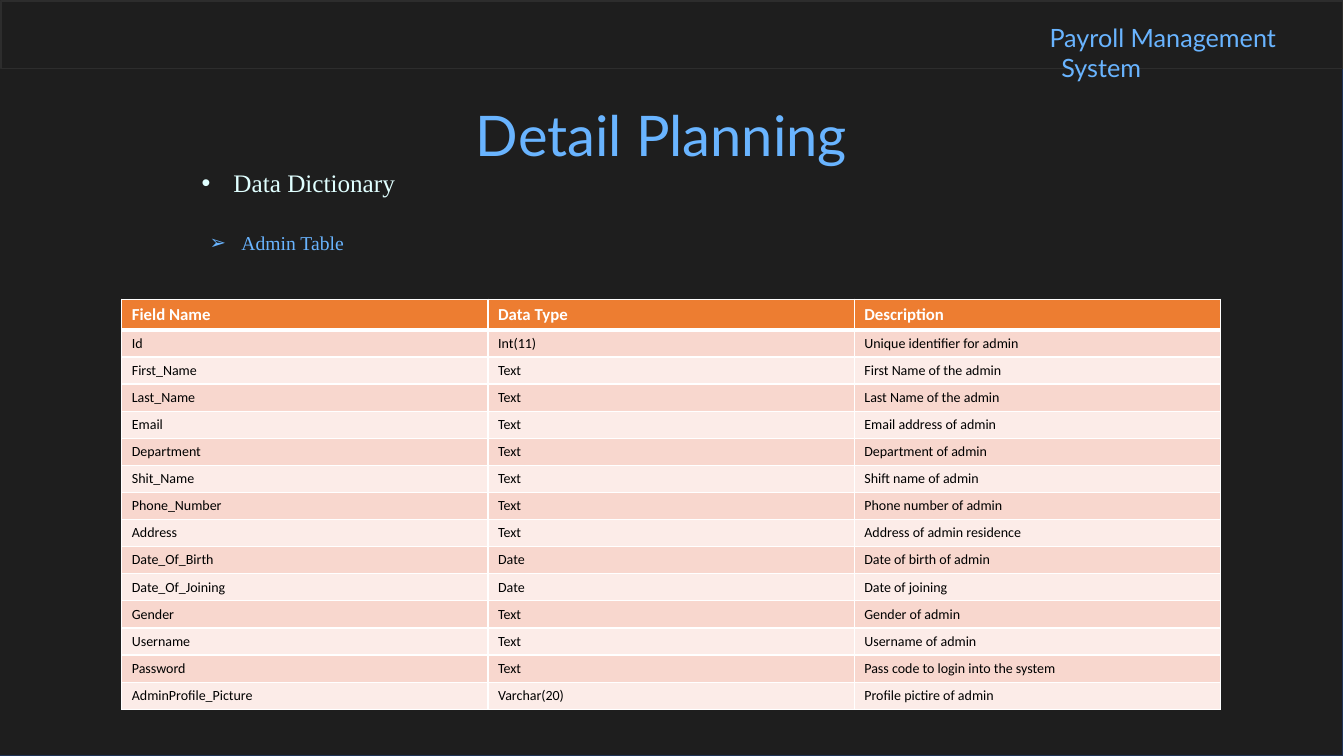
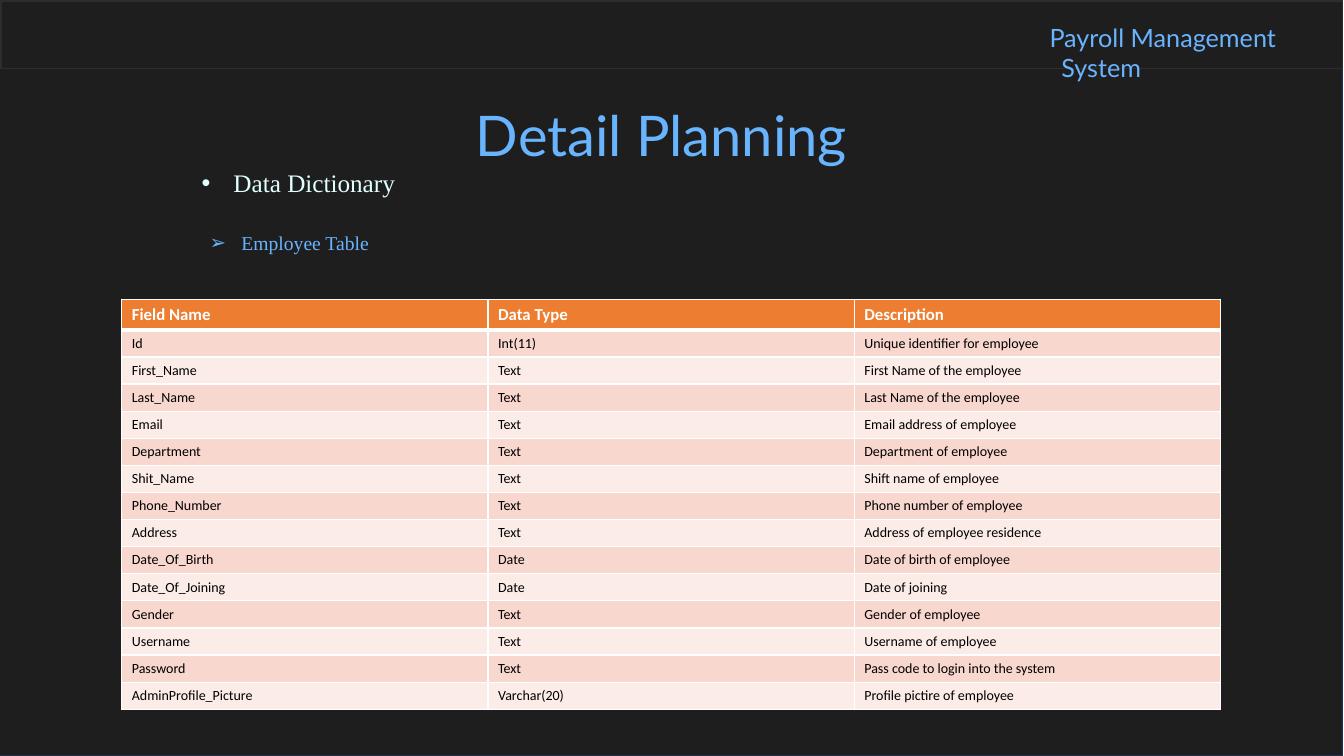
from lxml.etree import SubElement
from pptx import Presentation
from pptx.dml.color import RGBColor
from pptx.enum.shapes import MSO_SHAPE
from pptx.enum.text import MSO_ANCHOR, MSO_AUTO_SIZE, PP_ALIGN
from pptx.oxml import parse_xml
from pptx.oxml.ns import nsdecls, qn
from pptx.util import Cm, Pt

COLORS = {
    "back": "1E1E1E",
    "edge": "1E3256",
    "rim": "2D2D2D",
    "blue": "69B4FF",
    "pale": "E0FFFF",
    "head": "ED7D31",
    "odd": "F8D7CE",
    "even": "FCECE8",
    "white": "FFFFFF",
    "black": "000000",
}
HEADS = ("Field Name", "Data Type", "Description")
FIELDS = (
    ("Id", "Int(11)", "Unique identifier for {}"),
    ("First_Name", "Text", "First Name of the {}"),
    ("Last_Name", "Text", "Last Name of the {}"),
    ("Email", "Text", "Email address of {}"),
    ("Department", "Text", "Department of {}"),
    ("Shit_Name", "Text", "Shift name of {}"),
    ("Phone_Number", "Text", "Phone number of {}"),
    ("Address", "Text", "Address of {} residence"),
    ("Date_Of_Birth", "Date", "Date of birth of {}"),
    ("Date_Of_Joining", "Date", "Date of joining"),
    ("Gender", "Text", "Gender of {}"),
    ("Username", "Text", "Username of {}"),
    ("Password", "Text", "Pass code to login into the system"),
    ("AdminProfile_Picture", "Varchar(20)", "Profile pictire of {}"),
)
ROLES = ("Admin", "Employee")


def color(name):
    return RGBColor.from_string(COLORS[name])


def style(para, font, size, tint, bold=False):
    for run in para.runs:
        run.font.name = font
        run.font.size = Pt(size)
        run.font.bold = bold
        run.font.color.rgb = color(tint)


def place(shape, left, top, width, height):
    shape.left, shape.top = Cm(left), Cm(top)
    shape.width, shape.height = Cm(width), Cm(height)


def indent(para, left, first):
    props = para._p.get_or_add_pPr()
    props.set("marL", str(Cm(left)))
    props.set("indent", str(Cm(first)))
    return props


def add_panel(slide, line, left, top, width, height):
    panel = slide.shapes.add_shape(
        MSO_SHAPE.RECTANGLE, Cm(left), Cm(top), Cm(width), Cm(height))
    panel.shadow.inherit = False
    panel.fill.solid()
    panel.fill.fore_color.rgb = color("back")
    panel.line.color.rgb = color(line)
    panel.line.width = Pt(1)
    return panel


def add_back(slide):
    """Put the dark backdrop behind the placeholders."""
    node = add_panel(slide, "edge", -0.03, -0.05, 33.86, 19.1).element
    node.getparent().insert(2, node)


def add_band(slide):
    add_panel(slide, "rim", 0.03, 0.03, 33.81, 1.7)
    label = slide.shapes.add_textbox(Cm(26.2), Cm(0.43), Cm(6.95), Cm(1.02))
    frame = label.text_frame
    frame.word_wrap = True
    frame.text = "Payroll Management System"
    para = frame.paragraphs[0]
    indent(para, 0.3, -0.3)
    style(para, "Lato", 18, "blue")


def set_title(slide, text):
    title = slide.shapes.title
    place(title, 5.03, 2.41, 23.27, 1.96)
    frame = title.text_frame
    frame.auto_size = MSO_AUTO_SIZE.NONE
    frame.vertical_anchor = MSO_ANCHOR.MIDDLE
    frame.text = text
    para = frame.paragraphs[0]
    para.alignment = PP_ALIGN.CENTER
    style(para, "Lato", 40, "blue")


def set_list(slide, role):
    body = slide.placeholders[1]
    place(body, 4.83, 4.09, 23.65, 2.5)
    frame = body.text_frame
    frame.auto_size = MSO_AUTO_SIZE.NONE
    frame.vertical_anchor = MSO_ANCHOR.TOP
    frame.text = f"Data Dictionary\n{role} Table"
    looks = (("•", 0.8, 0, 18, "pale"), ("➢", 1, 23.5, 14, "blue"))
    for level, (para, look) in enumerate(zip(frame.paragraphs, looks)):
        mark, left, gap, size, tint = look
        para.level = level
        para.space_before = Pt(gap)
        para.line_spacing = 1.0
        SubElement(indent(para, left, -0.8), qn("a:buChar")).set("char", mark)
        style(para, "Times New Roman", size, tint)


def set_edges(cell, top, bottom):
    """Draw white borders: 1 pt at the sides, the given widths above and below."""
    props = cell._tc.get_or_add_tcPr()
    sides = {"L": 1, "R": 1, "T": top, "B": bottom}
    for spot, (side, width) in enumerate(sides.items()):
        props.insert(spot, parse_xml(
            f'<a:ln{side} {nsdecls("a")} w="{Pt(width)}"><a:solidFill>'
            f'<a:srgbClr val="{COLORS["white"]}"/></a:solidFill></a:ln{side}>'))


def fill_row(row, texts, fill, size, tint, bold=False, top=1, bottom=1):
    for cell, text in zip(row.cells, texts):
        cell.text = text
        style(cell.text_frame.paragraphs[0], "Calibri", size, tint, bold)
        cell.fill.solid()
        cell.fill.fore_color.rgb = color(fill)
        set_edges(cell, top, bottom)


def add_fields(slide, role):
    table = slide.shapes.add_table(
        len(FIELDS) + 1, len(HEADS), Cm(3.07), Cm(7.54), Cm(27.69), Cm(10.29)).table
    head, *rows = table.rows
    head.height = Cm(0.77)
    fill_row(head, HEADS, "head", 12, "white", bold=True, bottom=3)
    for spot, (row, field) in enumerate(zip(rows, FIELDS)):
        row.height = Cm(0.68)
        texts = [text.format(role.lower()) for text in field]
        fill_row(row, texts, "even" if spot % 2 else "odd", 10, "black",
                 top=1 if spot else 3)


def main():
    deck = Presentation()
    deck.slide_width, deck.slide_height = Cm(33.87), Cm(19.05)
    for role in ROLES:
        slide = deck.slides.add_slide(deck.slide_layouts[1])
        add_back(slide)
        set_title(slide, "Detail Planning")
        set_list(slide, role)
        add_fields(slide, role)
        add_band(slide)
    deck.save("out.pptx")


if __name__ == "__main__":
    main()
